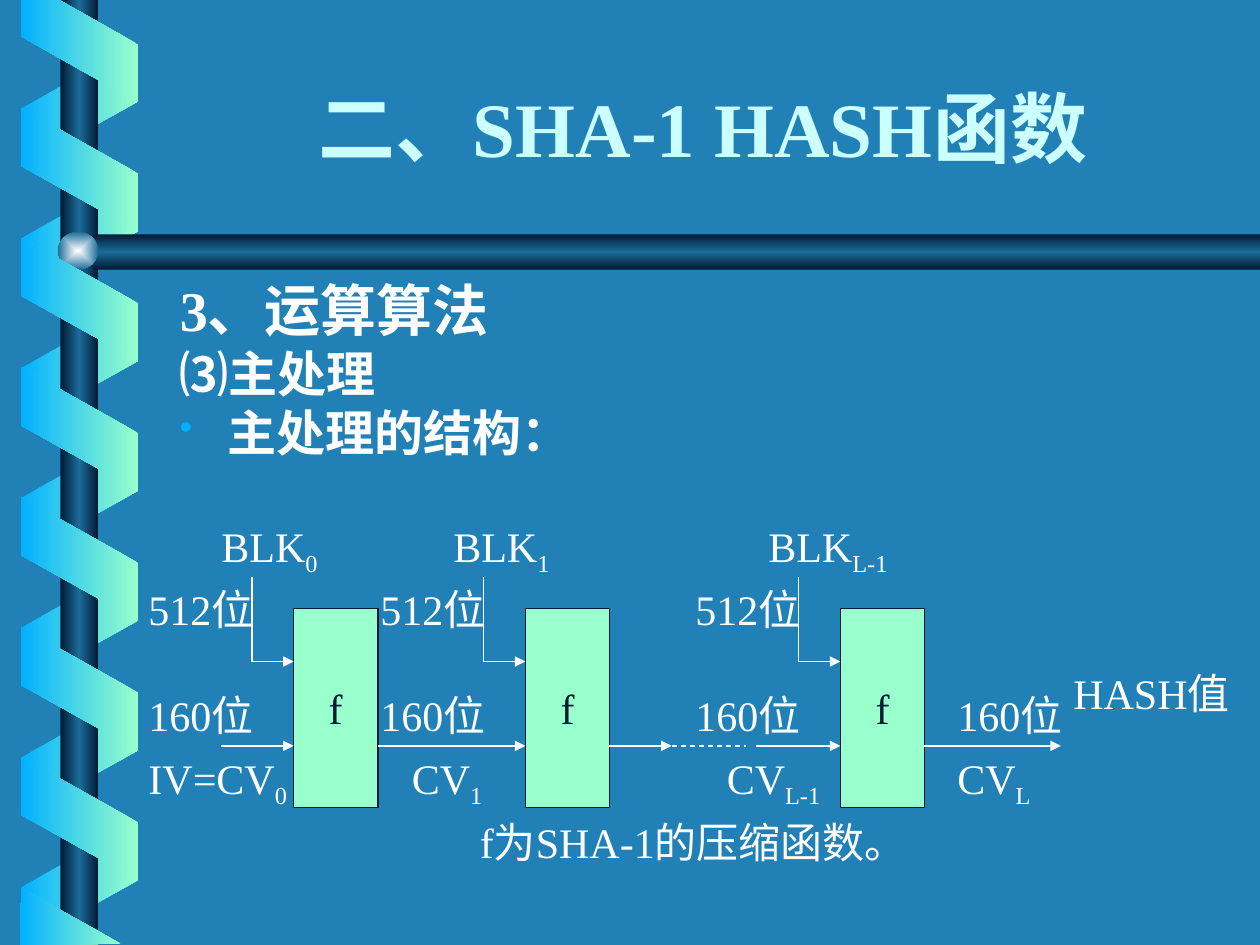
from pptx import Presentation
from pptx.dml.color import RGBColor
from pptx.enum.dml import MSO_LINE
from pptx.enum.shapes import MSO_CONNECTOR, MSO_SHAPE
from pptx.enum.text import MSO_ANCHOR, PP_ALIGN
from pptx.oxml import parse_xml
from pptx.oxml.ns import nsdecls, qn
from pptx.util import Inches, Pt
from lxml.etree import SubElement

ROMAN = "Times New Roman"
HAN = "Noto Sans CJK SC"
WHITE, NAVY, MINT, SKY, STEEL = "FFFFFF", "001932", "99FFCC", "01B0FF", "1C6D9A"
LABEL = {"size": Pt(24), "name": ROMAN, "bold": False}
HEAD = {"size": Pt(44), "name": ROMAN, "bold": True}
BODY = {"size": Pt(28), "name": ROMAN, "bold": True}
ACROSS = '<a:lin ang="10800000" scaled="0"/>'
DOWN = '<a:lin ang="5400000" scaled="0"/>'
GLOW = '<a:path path="rect"><a:fillToRect l="50000" t="50000" r="50000" b="50000"/></a:path>'


def paint(text):
    return RGBColor.from_string(text)


def place(box):
    return [Inches(n) for n in box]


def apply(item, values):
    for key, value in values.items():
        setattr(item, key, value)


def shade(shape, tones, mode):
    step = 100000 // (len(tones) - 1)
    stops = "".join(
        f'<a:gs pos="{i * step}"><a:srgbClr val="{tone}"/></a:gs>'
        for i, tone in enumerate(tones))
    grad = parse_xml(f'<a:gradFill {nsdecls("a")} rotWithShape="0">'
                     f'<a:gsLst>{stops}</a:gsLst>{mode}</a:gradFill>')
    shape.shadow.inherit = False
    shape.line.fill.background()
    shape.fill.background()
    props = shape._element.spPr
    props.replace(props.find(qn("a:noFill")), grad)


def add_run(para, text, form, tone=WHITE, base=0):
    run = para.add_run()
    run.text = text
    apply(run.font, form)
    run.font.color.rgb = paint(tone)
    props = run._r.get_or_add_rPr()
    if base:
        props.set("baseline", str(base * 1000))
    latin = props.find(qn("a:latin"))
    east = parse_xml(f'<a:ea {nsdecls("a")} typeface="{HAN}"/>')
    latin.addnext(east)


def add_text(slide, box, wrap=True):
    frame = slide.shapes.add_textbox(*place(box)).text_frame
    frame.word_wrap = wrap
    return frame


def add_label(slide, box, text, sub=""):
    para = add_text(slide, box).paragraphs[0]
    add_run(para, text, LABEL)
    if sub:
        add_run(para, sub, LABEL, base=-25)


def add_line(slide, start, end, arrow=True, dash=False):
    line = slide.shapes.add_connector(MSO_CONNECTOR.STRAIGHT, *place(start + end))
    line.line.color.rgb = paint(WHITE)
    line.line.width = Pt(0.75)
    if dash:
        line.line.dash_style = MSO_LINE.DASH
    if arrow:
        SubElement(line.line._get_or_add_ln(), qn("a:tailEnd"), type="triangle")
    SubElement(line._element.spPr, qn("a:effectLst"))


def add_shard(slide, points, tones, mode):
    first, *rest = [tuple(place(point)) for point in points]
    form = slide.shapes.build_freeform(*first)
    form.add_line_segments(rest, close=True)
    shade(form.convert_to_shape(), tones, mode)


def add_band(slide, box, front):
    band = slide.shapes.add_shape(MSO_SHAPE.PARALLELOGRAM, *place(box))
    band.adjustments[0] = 0.56
    band.rotation = 270 if front else 90
    if not front:
        band._element.spPr.find(qn("a:xfrm")).set("flipH", "1")
    shade(band, (MINT, SKY) if front else (SKY, MINT), ACROSS)


def add_spiral(slide, left, top, width, height):
    pitch = 1.03
    steel = (NAVY, STEEL, NAVY)
    for i in range(7):
        add_band(slide, (left, top + 0.37 + i * pitch, 0.98, 0.93), False)
    pole = slide.shapes.add_shape(
        MSO_SHAPE.RECTANGLE, *place((left + 0.34, top, 0.3, height)))
    shade(pole, steel, ACROSS)
    edge = left + width
    add_shard(slide, [(edge, 1.86), (0.76, 1.86), (0.6, 2), (0.76, 2.14), (edge, 2.14)],
              steel, DOWN)
    knob = slide.shapes.add_shape(MSO_SHAPE.OVAL, *place((left + 0.32, 1.84, 0.32, 0.3)))
    shade(knob, ("FEFFFF", STEEL), GLOW)
    for i in range(6):
        add_band(slide, (left, top + 0.88 + i * pitch, 0.98, 0.93), True)
    add_shard(slide, [(0.17, 0), (0.17, 0.29), (1.09, 0.81), (1.09, 0.35), (0.47, 0)],
              (MINT, SKY), ACROSS)
    add_shard(slide, [(0.96, 7.49), (0.17, 7.05), (0.16, 7.5)], (MINT, SKY), ACROSS)


def add_title(slide, box):
    frame = add_text(slide, box)
    frame.vertical_anchor = MSO_ANCHOR.BOTTOM
    para = frame.paragraphs[0]
    para.alignment = PP_ALIGN.CENTER
    for text, name in (("二", HAN), ("、", "Arial Narrow"), ("SHA-1 HASH函数", ROMAN)):
        add_run(para, text, {**HEAD, "name": name}, "CCFFFF")


def add_body(slide, box):
    frame = add_text(slide, box)
    rows = [("3、运算算法", 32, False), ("⑶主处理", 28, False), ("主处理的结构：", 28, True)]
    for i, (text, size, dot) in enumerate(rows):
        para = frame.add_paragraph() if i else frame.paragraphs[0]
        apply(para, {"alignment": PP_ALIGN.JUSTIFY, "line_spacing": 0.8})
        if i:
            para.space_before = Pt(7)
        props = para._p.get_or_add_pPr()
        props.set("marL", str(Inches(0.38)))
        props.set("indent", str(-Inches(0.38)))
        if dot:
            SubElement(SubElement(props, qn("a:buClr")), qn("a:srgbClr"), val=SKY)
            SubElement(props, qn("a:buSzPct"), val="75000")
            SubElement(props, qn("a:buChar"), char="•")
        else:
            SubElement(props, qn("a:buNone"))
        add_run(para, text, {**BODY, "size": Pt(size)})


def add_stage(slide, left, top, sub, chain, start):
    box = slide.shapes.add_shape(
        MSO_SHAPE.RECTANGLE, *place((left, top + 0.75, 0.67, 1.58)))
    box.shadow.inherit = False
    box.fill.solid()
    box.fill.fore_color.rgb = paint(MINT)
    box.line.color.rgb = paint(NAVY)
    box.line.width = Pt(0.75)
    frame = box.text_frame
    apply(frame, {"word_wrap": False, "vertical_anchor": MSO_ANCHOR.MIDDLE})
    frame.paragraphs[0].alignment = PP_ALIGN.CENTER
    add_run(frame.paragraphs[0], "f", LABEL, NAVY)
    feed, turn, flow = left - 0.33, top + 1.17, top + 1.84
    add_line(slide, (feed, turn), (left, turn))
    add_line(slide, (feed, turn), (feed, top + 0.5), arrow=False)
    add_line(slide, (start, flow), (left, flow))
    add_label(slide, (left - 0.67, top, 1.33, 0.56), "BLK", sub)
    add_label(slide, (left - 1.25, top + 0.5, 1.25, 0.5), "512位")
    add_label(slide, (left - 1.25, top + 1.34, 1.25, 0.5), "160位")
    shift = 1.25 if "=" in chain else 1
    add_label(slide, (left - shift, flow, 1.58, 0.56), chain, sub)


def add_chain(slide, left, top, width):
    stages = [(1.25, "0", "IV=CV", 0.67), (3.09, "1", "CV", 1.92), (5.59, "L-1", "CV", 4.92)]
    for shift, sub, chain, start in stages:
        add_stage(slide, left + shift, top, sub, chain, left + start)
    flow = top + 1.84
    add_line(slide, (left + 3.75, flow), (left + 4.25, flow))
    add_line(slide, (left + 4.25, flow), (left + 4.84, flow), arrow=False, dash=True)
    add_line(slide, (left + 6.25, flow), (left + 7.34, flow))
    add_label(slide, (left + 6.42, top + 1.34, 1.25, 0.5), "160位")
    add_label(slide, (left + 6.42, flow, 1.58, 0.56), "CV", "L")
    add_label(slide, (left + width - 1.5, top + 1.17, 1.5, 0.9), "HASH值")
    add_label(slide, (left + 2.63, top + 2.35, 4, 0.5), "f为SHA-1的压缩函数。")


def main():
    deck = Presentation()
    apply(deck, {"slide_width": Inches(10), "slide_height": Inches(7.5)})
    slide = deck.slides.add_slide(deck.slide_layouts[6])
    slide.background.fill.solid()
    slide.background.fill.fore_color.rgb = paint("2181B7")
    add_spiral(slide, 0.14, 0, 9.86, 7.5)
    add_body(slide, (1.33, 2.24, 8.42, 1.6))
    add_chain(slide, 1.08, 4.08, 8.84)
    add_title(slide, (1.33, 0.46, 8.5, 0.96))
    deck.save("out.pptx")


if __name__ == "__main__":
    main()
